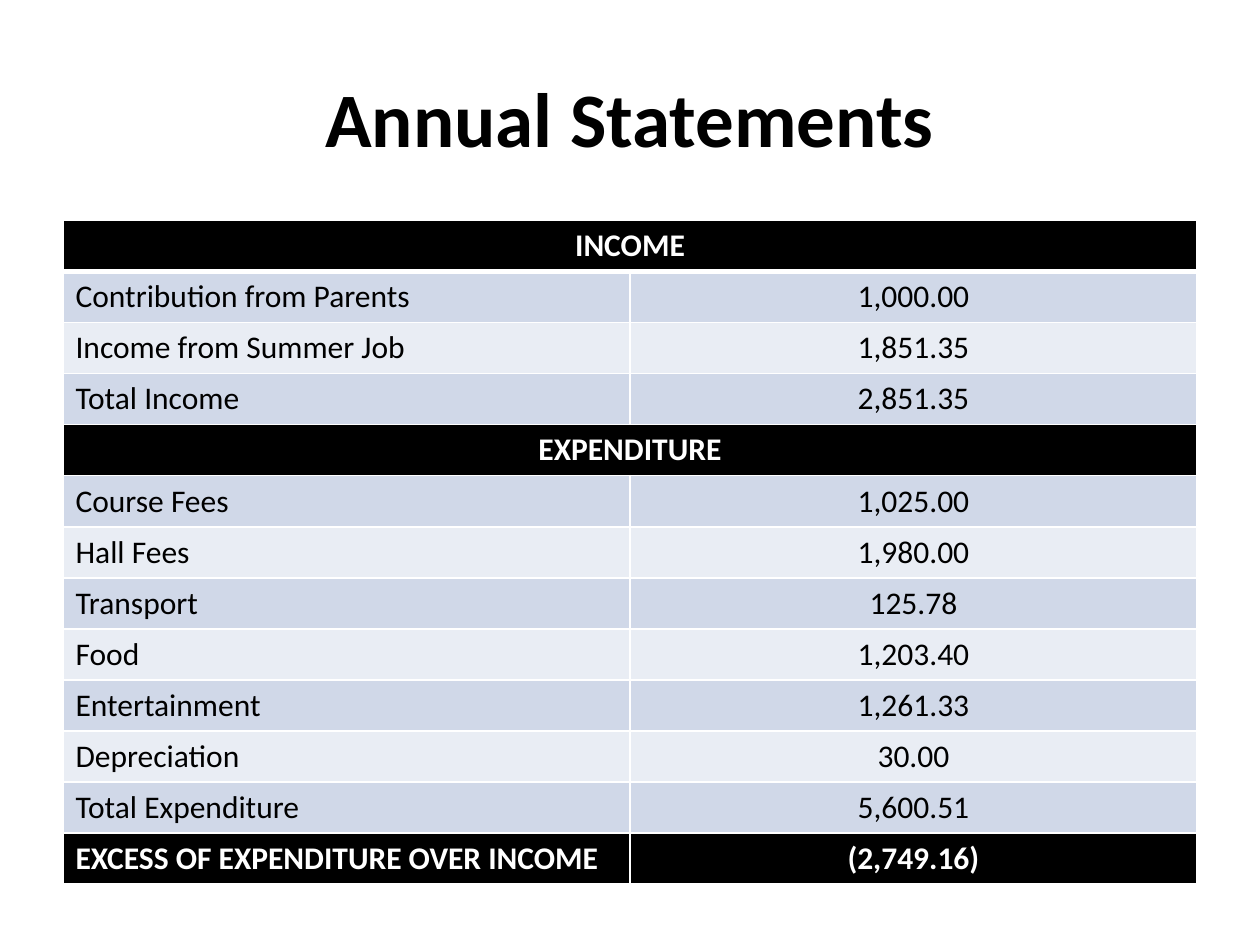
from typing import NamedTuple

from lxml import etree
from pptx import Presentation
from pptx import util as u
from pptx.dml.color import RGBColor
from pptx.enum import text
from pptx.oxml import ns

BLACK = RGBColor(0x00, 0x00, 0x00)
WHITE = RGBColor(0xFF, 0xFF, 0xFF)
BAND_DARK = RGBColor(0xD0, 0xD8, 0xE8)
BAND_LIGHT = RGBColor(0xE9, 0xED, 0xF4)

FONT = "Calibri"
SLIDE_WIDTH, SLIDE_HEIGHT = u.Inches(10), u.Inches(7.5)
MARGIN = int(SLIDE_WIDTH * 0.05)
CONTENT_WIDTH = SLIDE_WIDTH - 2 * MARGIN
COLUMNS = 2
TABLE_TOP = u.Inches(1.75)
TABLE_HEIGHT = u.Inches(5.27)
THIN, THICK = u.Pt(1), u.Pt(3)


class Row(NamedTuple):
    label: str
    amount: str = ""
    strong: bool = False

    @property
    def is_heading(self) -> bool:
        return not self.amount


STATEMENT = [
    Row("INCOME", strong=True),
    Row("Contribution from Parents", "1,000.00"),
    Row("Income from Summer Job", "1,851.35"),
    Row("Total Income", "2,851.35"),
    Row("EXPENDITURE", strong=True),
    Row("Course Fees", "1,025.00"),
    Row("Hall Fees", "1,980.00"),
    Row("Transport", "125.78"),
    Row("Food", "1,203.40"),
    Row("Entertainment", "1,261.33"),
    Row("Depreciation", "30.00"),
    Row("Total Expenditure", "5,600.51"),
    Row("EXCESS OF EXPENDITURE OVER INCOME", "(2,749.16)", strong=True),
]


def write(frame, words: str, size: int, color: RGBColor, bold: bool, centred: bool) -> None:
    paragraph = frame.paragraphs[0]
    paragraph.alignment = text.PP_ALIGN.CENTER if centred else text.PP_ALIGN.LEFT
    run = paragraph.add_run()
    run.text = words
    run.font.name = FONT
    run.font.size = u.Pt(size)
    run.font.bold = bold
    run.font.color.rgb = color


def add_borders(cell, top: int, bottom: int) -> None:
    """Draw white cell borders; call before filling, as the schema puts lines first."""
    properties = cell._tc.get_or_add_tcPr()
    for side, width in (("L", THIN), ("R", THIN), ("T", top), ("B", bottom)):
        line = etree.SubElement(properties, ns.qn(f"a:ln{side}"), w=str(int(width)))
        fill = etree.SubElement(line, ns.qn("a:solidFill"))
        etree.SubElement(fill, ns.qn("a:srgbClr"), val=str(WHITE))


def add_title(slide, words: str) -> None:
    box = slide.shapes.add_textbox(MARGIN, u.Inches(0.3), CONTENT_WIDTH, u.Inches(1.25))
    box.text_frame.word_wrap = True
    box.text_frame.vertical_anchor = text.MSO_ANCHOR.MIDDLE
    write(box.text_frame, words, 44, BLACK, bold=True, centred=True)


def add_statement(slide, rows: list[Row]) -> None:
    table = slide.shapes.add_table(
        len(rows), COLUMNS, MARGIN, TABLE_TOP, CONTENT_WIDTH, TABLE_HEIGHT
    ).table
    for index, row in enumerate(rows):
        band = BAND_DARK if index % 2 else BAND_LIGHT
        background, color = (BLACK, WHITE) if row.strong else (band, BLACK)
        top = THICK if index == 1 else THIN
        bottom = THICK if index == 0 else THIN
        for column, words in enumerate((row.label, row.amount)):
            cell = table.cell(index, column)
            add_borders(cell, top, bottom)
            cell.fill.solid()
            cell.fill.fore_color.rgb = background
            if words:
                centred = row.is_heading or column > 0
                write(cell.text_frame, words, 18, color, row.strong, centred)
        if row.is_heading:
            table.cell(index, 0).merge(table.cell(index, COLUMNS - 1))


def main() -> None:
    presentation = Presentation()
    presentation.slide_width, presentation.slide_height = SLIDE_WIDTH, SLIDE_HEIGHT
    slide = presentation.slides.add_slide(presentation.slide_layouts[6])
    add_title(slide, "Annual Statements")
    add_statement(slide, STATEMENT)
    presentation.save("out.pptx")


if __name__ == "__main__":
    main()
